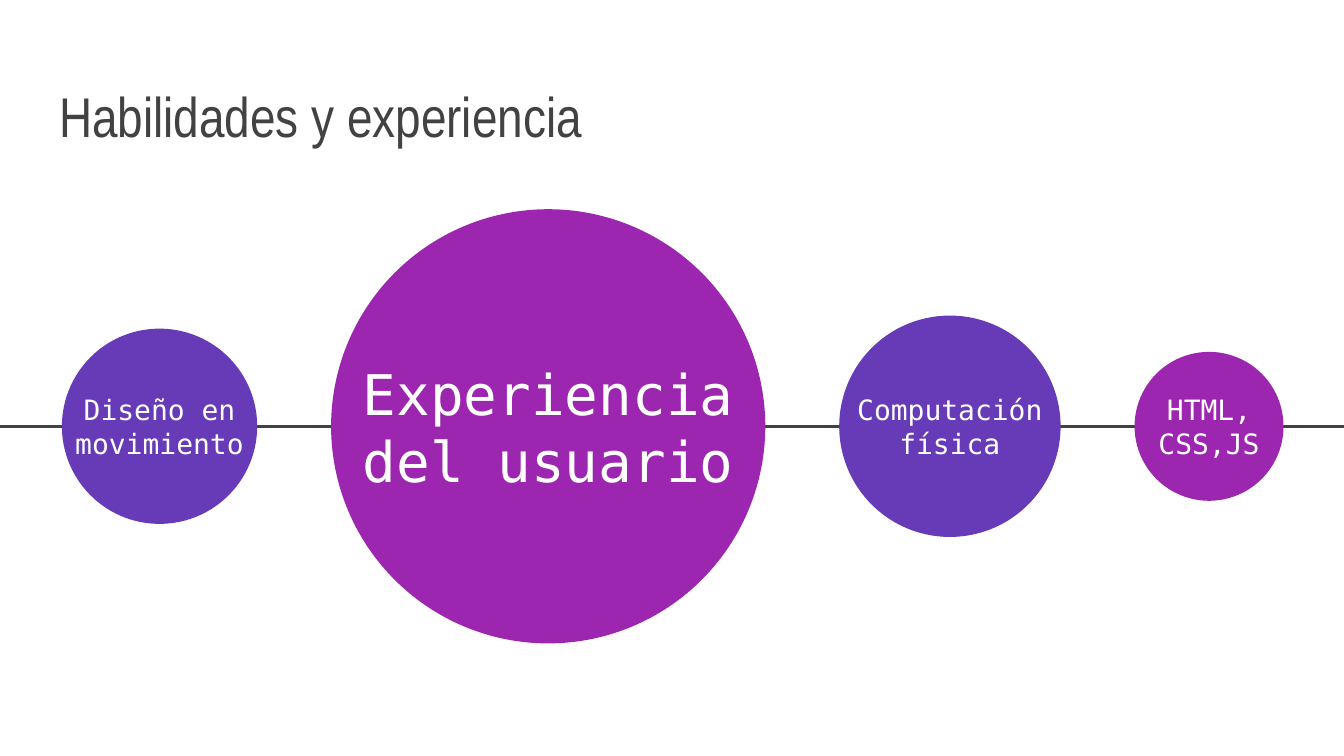
import pptx
import pptx.dml.color
import pptx.enum.shapes
import pptx.enum.text
import pptx.oxml.ns
import lxml.etree

Pt = pptx.util.Pt
ANCHOR = pptx.enum.text.MSO_ANCHOR
ALIGN = pptx.enum.text.PP_ALIGN

COLORS = {"ink": "424242", "violet": "673AB7", "purple": "9C26B0", "white": "FFFFFF"}
TITLE_FONT = "Arial Narrow"
LABEL_FONT = "DejaVu Sans Mono"
SLIDE_WIDTH, SLIDE_HEIGHT = 720, 405

# label, diameter, fill, text size
SKILLS = [
    ("Diseño en movimiento", 104.6, "violet", 15),
    ("Experiencia del usuario", 232.6, "purple", 30),
    ("Computación física", 118.6, "violet", 15),
    ("HTML, CSS,JS", 79.8, "purple", 15),
]
SKILL_GAP = 39.6
LABEL_HEIGHT = 47.5


def rgb(name):
    return pptx.dml.color.RGBColor.from_string(COLORS[name])


def add_text(slide, box, text, font_name, size, color, anchor, alignment):
    shape = slide.shapes.add_textbox(*map(Pt, box))
    frame = shape.text_frame
    frame.word_wrap = True
    frame.vertical_anchor = anchor
    frame.margin_left = frame.margin_right = Pt(6.8)
    frame.margin_top = frame.margin_bottom = Pt(7.2)
    paragraph = frame.paragraphs[0]
    paragraph.alignment = alignment
    run = paragraph.add_run()
    run.text = text
    run.font.name = font_name
    run.font.size = Pt(size)
    run.font.color.rgb = rgb(color)


def add_axis(slide, left, right, y):
    line = slide.shapes.add_connector(
        pptx.enum.shapes.MSO_CONNECTOR.STRAIGHT, Pt(left), Pt(y), Pt(right), Pt(y))
    line.line.color.rgb = rgb("ink")
    line.line.width = Pt(1.5)
    properties = line._element.spPr
    lxml.etree.SubElement(properties, pptx.oxml.ns.qn("a:effectLst"))


def add_skill(slide, left, center_y, diameter, label, fill, size):
    circle = slide.shapes.add_shape(
        pptx.enum.shapes.MSO_SHAPE.OVAL,
        Pt(left), Pt(center_y - diameter / 2), Pt(diameter), Pt(diameter))
    circle.shadow.inherit = False
    circle.fill.solid()
    circle.fill.fore_color.rgb = rgb(fill)
    circle.line.fill.background()
    label_box = (left, center_y - LABEL_HEIGHT / 2, diameter, LABEL_HEIGHT)
    add_text(slide, label_box, label, LABEL_FONT, size, "white",
             ANCHOR.MIDDLE, ALIGN.CENTER)


def add_skill_row(slide, left, center_y):
    """Place the circles from left to right with equal gaps, centred on the axis."""
    add_axis(slide, 0, SLIDE_WIDTH, center_y)
    for label, diameter, fill, size in SKILLS:
        add_skill(slide, left, center_y, diameter, label, fill, size)
        left += diameter + SKILL_GAP


def main():
    presentation = pptx.Presentation()
    presentation.slide_width = Pt(SLIDE_WIDTH)
    presentation.slide_height = Pt(SLIDE_HEIGHT)
    slide = presentation.slides.add_slide(presentation.slide_layouts[6])
    add_text(slide, (24.9, 29.5, 671, 57.6), "Habilidades y experiencia", TITLE_FONT,
             30, "ink", ANCHOR.BOTTOM, ALIGN.LEFT)
    add_skill_row(slide, 33.2, 228.4)
    presentation.save("out.pptx")


if __name__ == "__main__":
    main()
